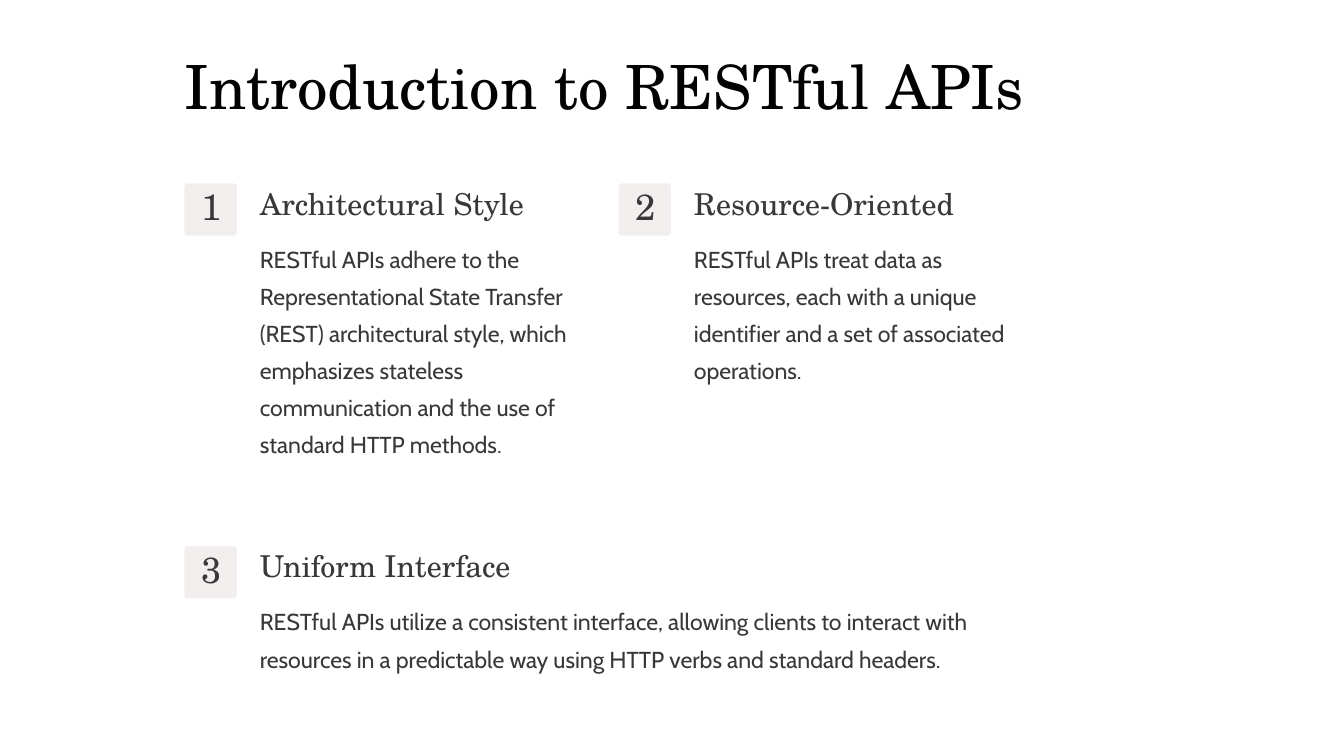
from dataclasses import dataclass

from pptx import Presentation
from pptx.dml.color import RGBColor
from pptx.enum.shapes import MSO_SHAPE as Preset
from pptx.enum.text import PP_ALIGN as Align
from pptx.util import Cm, Pt


@dataclass(frozen=True)
class Theme:
    """Fonts, colours and (size, line spacing) pairs in points."""
    serif: str = "TeX Gyre Schola"
    sans: str = "Cabin"
    background: str = "FFFFFF"
    title_ink: str = "020202"
    ink: str = "383838"
    badge: str = "F2EEEE"
    title: tuple = (43.5, 54.5)
    number: tuple = (26, 26)
    heading: tuple = (21.5, 27)
    body: tuple = (16.5, 26.5)


THEME = Theme()
LEFT, WIDTH, COLUMN_GAP = 4.65, 21.29, 0.59
TITLE_WIDTH = 22
COLUMN = (WIDTH - COLUMN_GAP) / 2
SECOND_LEFT = LEFT + COLUMN + COLUMN_GAP
UPPER, LOWER = 4.62, 13.76
BADGE, INDENT = 1.32, 1.9

POINTS = [
    (LEFT, UPPER, COLUMN, 6.58, "Architectural Style",
     "RESTful APIs adhere to the Representational State Transfer (REST) "
     "architectural style, which emphasizes stateless communication and "
     "the use of standard HTTP methods."),
    (SECOND_LEFT, UPPER, COLUMN, 3.76, "Resource-Oriented",
     "RESTful APIs treat data as resources, each with a unique identifier "
     "and a set of associated operations."),
    (LEFT, LOWER, WIDTH, 2.82, "Uniform Interface",
     "RESTful APIs utilize a consistent interface, allowing clients to "
     "interact with resources in a predictable way using HTTP verbs and "
     "standard headers."),
]


def add_text(slide, text, box, *, style, font=THEME.serif, color=THEME.ink,
             align=Align.LEFT, wrap=False):
    """Place text without margins in a box given in centimetres."""
    frame = slide.shapes.add_textbox(*map(Cm, box)).text_frame
    frame.margin_left = frame.margin_right = 0
    frame.margin_top = frame.margin_bottom = 0
    frame.word_wrap = wrap
    paragraph = frame.paragraphs[0]
    paragraph.alignment = align
    size, spacing = style
    paragraph.line_spacing = Pt(spacing)
    run = paragraph.add_run()
    run.text = text
    run.font.name = font
    run.font.size = Pt(size)
    run.font.color.rgb = RGBColor.from_string(color)


def add_badge(slide, number, left, top):
    """Draw a rounded square with its number centred."""
    square = slide.shapes.add_shape(
        Preset.ROUNDED_RECTANGLE, Cm(left), Cm(top), Cm(BADGE), Cm(BADGE))
    square.adjustments[0] = 0.067
    square.shadow.inherit = False
    square.fill.solid()
    square.fill.fore_color.rgb = RGBColor.from_string(THEME.badge)
    square.line.fill.background()
    width, height = 0.48, 0.92
    add_text(slide, str(number),
             (left + (BADGE - width) / 2, top + (BADGE - height) / 2, width, height),
             style=THEME.number, align=Align.CENTER)


def add_point(slide, number, left, top, width, body_height, heading, body):
    """Lay out a numbered point: badge, heading and explanation."""
    add_badge(slide, number, left, top)
    text_left = left + INDENT
    add_text(slide, heading, (text_left, top, 7.72, 0.97), style=THEME.heading)
    add_text(slide, body, (text_left, top + BADGE, width - INDENT, body_height),
             style=THEME.body, font=THEME.sans, wrap=True)


def main():
    """Build and save the slide."""
    deck = Presentation()
    deck.slide_width, deck.slide_height = Cm(33.87), Cm(19.05)
    slide = deck.slides.add_slide(deck.slide_layouts[6])
    slide.background.fill.solid()
    slide.background.fill.fore_color.rgb = RGBColor.from_string(THEME.background)
    add_text(slide, "Introduction to RESTful APIs", (LEFT, 1.14, TITLE_WIDTH, 1.93),
             style=THEME.title, color=THEME.title_ink)
    for number, point in enumerate(POINTS, start=1):
        add_point(slide, number, *point)
    deck.save("out.pptx")


if __name__ == "__main__":
    main()
